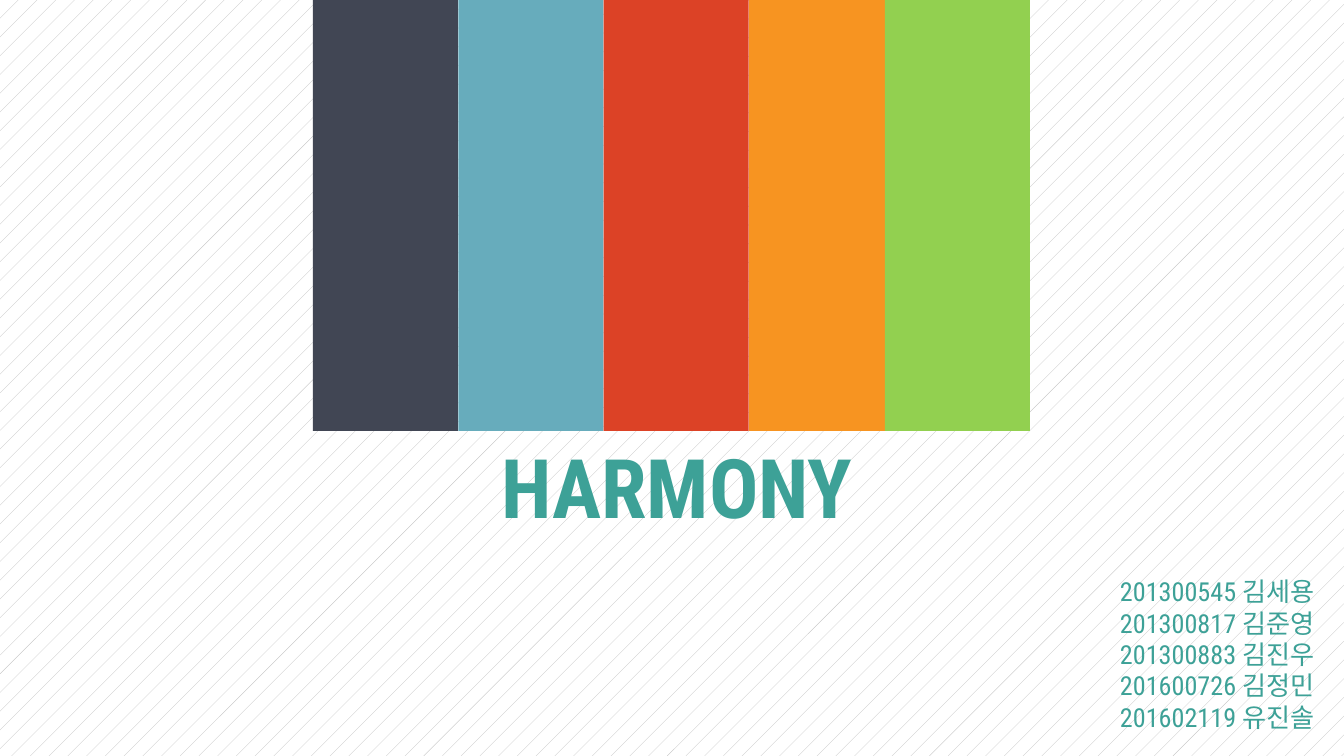
from pptx import Presentation
from pptx.dml.color import RGBColor
from pptx.enum.dml import MSO_PATTERN
from pptx.enum.shapes import MSO_SHAPE
from pptx.enum.text import MSO_AUTO_SIZE, PP_ALIGN
from pptx.util import Emu, Pt

# Content
TITLE = "HARMONY"
MEMBERS = [
    "201300545 김세용",
    "201300817 김준영",
    "201300883 김진우",
    "201600726 김정민",
    "201602119 유진솔",
]
BAR_COLORS = ["414654", "67ACBC", "DC4226", "F79421", "92D050"]
TEAL = "3DA197"
FONT = "Roboto Condensed"

# Layout in px
SLIDE_W, SLIDE_H = 1344, 756
BARS_LEFT, BARS_RIGHT = 313, 1030
BAR_W, BAR_H = 145, 431
TITLE_BOX = (386, 430, 582, 113)
MEMBERS_BOX = (1063, 569, 265, 172)


def px(n):
    return Emu(round(n * 914400 / 134.4))


def color(value):
    return RGBColor.from_string(value)


def add_text(slide, box, lines, size, align, bold=False):
    frame = slide.shapes.add_textbox(*map(px, box)).text_frame
    frame.word_wrap = True
    frame.auto_size = MSO_AUTO_SIZE.SHAPE_TO_FIT_TEXT
    frame.text = "\n".join(lines)
    for line in frame.paragraphs:
        line.alignment = align
        line.font.name = FONT
        line.font.size = Pt(size)
        line.font.bold = bold
        line.font.color.rgb = color(TEAL)


def main():
    deck = Presentation()
    deck.slide_width, deck.slide_height = px(SLIDE_W), px(SLIDE_H)
    slide = deck.slides.add_slide(deck.slide_layouts[6])

    # Patterned background
    background = slide.background.fill
    background.patterned()
    background.pattern = MSO_PATTERN.PERCENT_5
    background.fore_color.rgb = color("BFBFBF")
    background.back_color.rgb = color("FFFFFF")

    add_text(slide, TITLE_BOX, [TITLE], 44, PP_ALIGN.CENTER, bold=True)

    # Colour bars side by side; the last one ends at the right edge
    bars = slide.shapes.add_group_shape()
    for i, bar_color in enumerate(BAR_COLORS):
        left = min(BARS_LEFT + i * (BAR_W + 0.4), BARS_RIGHT - BAR_W)
        bar = bars.shapes.add_shape(
            MSO_SHAPE.RECTANGLE, px(left), 0, px(BAR_W), px(BAR_H))
        bar.shadow.inherit = False
        bar.fill.solid()
        bar.fill.fore_color.rgb = color(bar_color)
        bar.line.fill.background()

    # Team members
    add_text(slide, MEMBERS_BOX, MEMBERS, 14, PP_ALIGN.RIGHT)

    deck.save("out.pptx")


if __name__ == "__main__":
    main()
